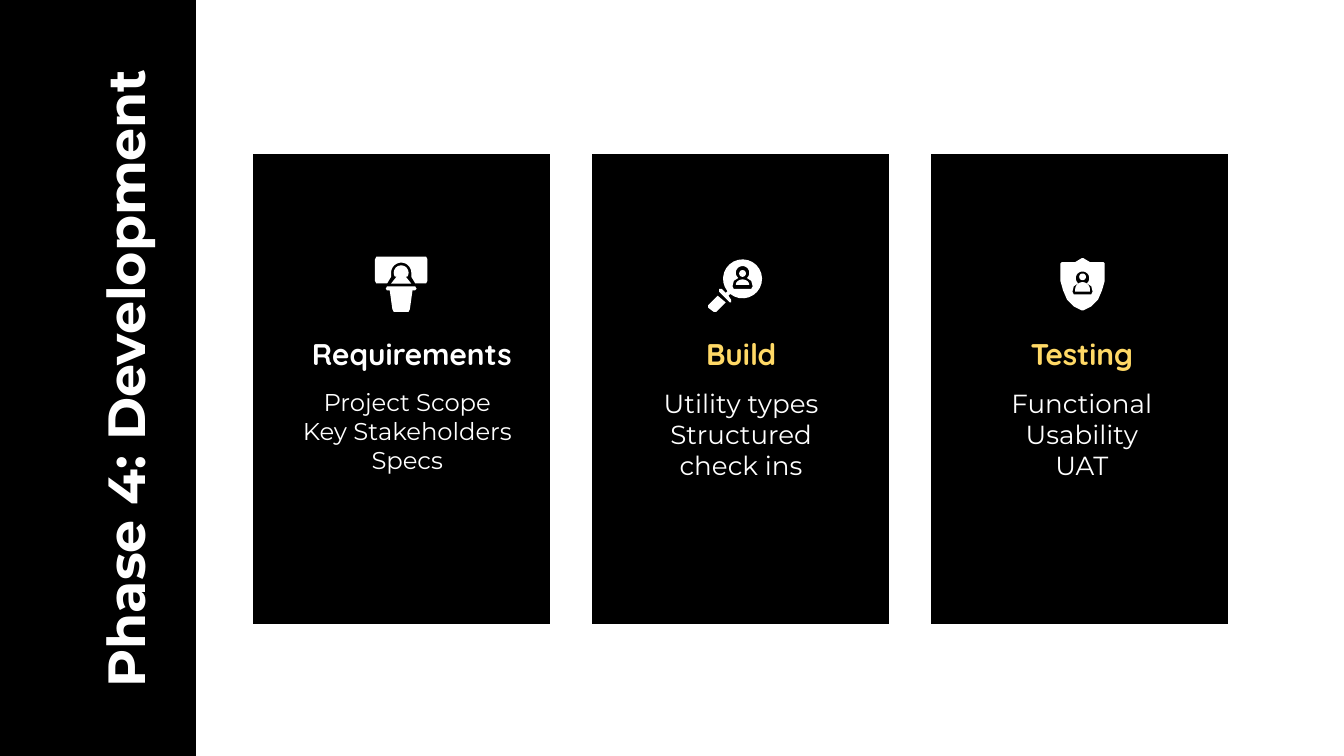
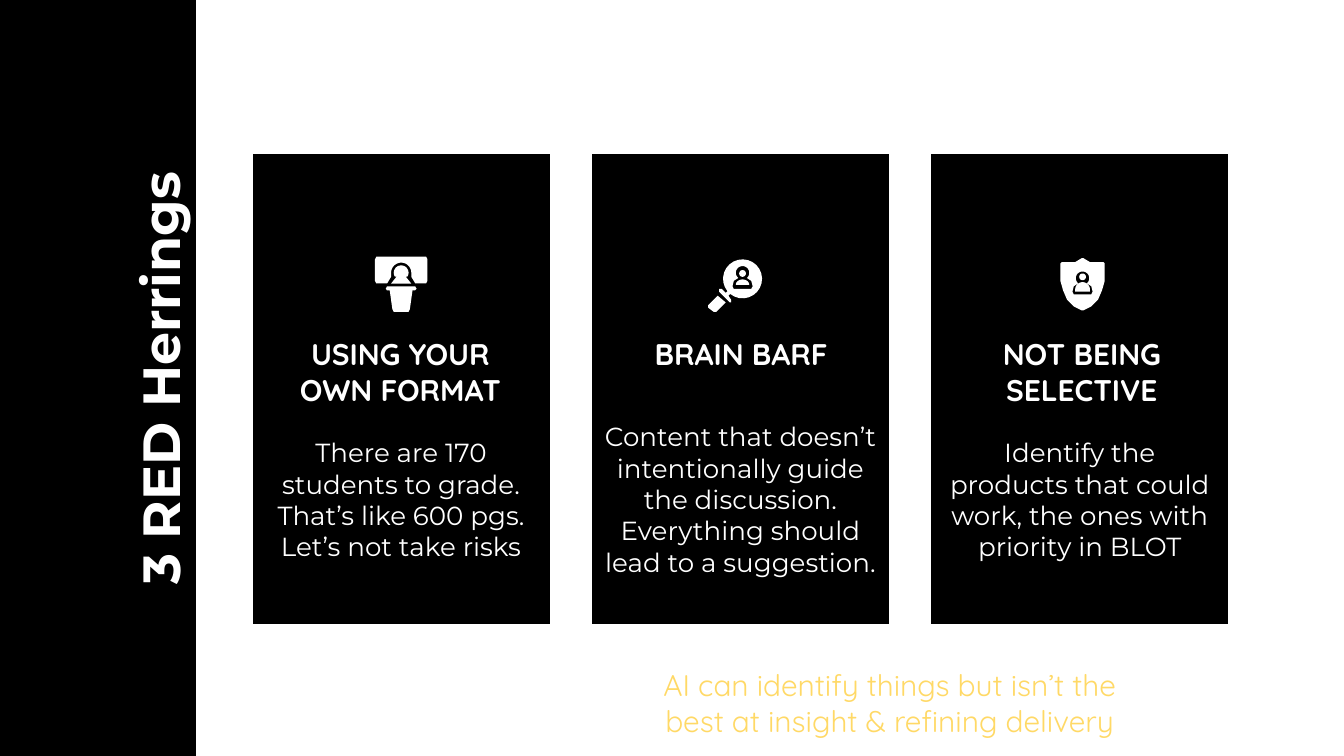
import math
from dataclasses import dataclass

from pptx import Presentation
from pptx.dml.color import RGBColor
from pptx.enum.shapes import MSO_SHAPE
from pptx.enum.text import MSO_ANCHOR, PP_ALIGN
from pptx.util import Inches, Pt

RECT = MSO_SHAPE.RECTANGLE
TOP = MSO_ANCHOR.TOP
CENTER = PP_ALIGN.CENTER


@dataclass(frozen=True)
class Theme:
    black: RGBColor = RGBColor(0, 0, 0)
    white: RGBColor = RGBColor(255, 255, 255)
    gold: RGBColor = RGBColor(0xFF, 0xD9, 0x66)
    sans: str = "Montserrat"
    display: str = "Quicksand"
    title: int = 28
    heading: int = 16
    body: int = 14
    small: int = 13


T = Theme()

# Grid in inches on a 16:9 slide: three cards and three narrower text columns
WIDTH = 10
HEIGHT = WIDTH * 9 / 16
BAND = (-0.08, -0.06, 1.55, 5.78)
CARD_W, CARD_H, CARD_TOP = 2.25, 3.54, 1.125
CARD_COLS = [1.86 + 2.525 * i for i in range(3)]
TEXT_COLS = [2.13 + 2.535 * i for i in range(3)]
HEAD_TOP, HEAD_W, HEAD_H = 2.4, 1.7, 0.34


def text(s, box, content, size=T.body, font=T.sans, color=T.white, bold=False, rotation=0):
    """Add a centred text box; each line of content is a paragraph."""
    tb = s.shapes.add_textbox(*map(Inches, box))
    tb.rotation = rotation
    tf = tb.text_frame
    tf.word_wrap = True
    tf.vertical_anchor = TOP
    tf.margin_left = tf.margin_right = tf.margin_top = tf.margin_bottom = Inches(0.1)
    for i, line in enumerate(content.split("\n")):
        p = tf.add_paragraph() if i else tf.paragraphs[0]
        p.alignment = CENTER
        r = p.add_run()
        r.text = line
        r.font.size, r.font.name, r.font.bold = Pt(size), font, bold
        r.font.color.rgb = color


def arc(cx, cy, rx, start=0, end=360, ry=None):
    """Points along an elliptical arc, clockwise in degrees from the right."""
    steps = 24
    angles = [math.radians(start + (end - start) * i / steps) for i in range(steps + 1)]
    return [(cx + rx * math.cos(a), cy + (ry or rx) * math.sin(a)) for a in angles]


# Icon pieces: each is a list of contours, later contours being holes
podium = [(2.88, 2.13), (2.87, 2.15), (2.88, 2.16), (2.9, 2.16), (2.92, 2.3), (2.93, 2.32),
          (3.04, 2.32), (3.05, 2.3), (3.07, 2.16), (3.09, 2.16), (3.1, 2.15), (3.09, 2.13)]
board = [(2.8, 1.91), (2.79, 1.93), (2.79, 2.09), (2.8, 2.11), (2.88, 2.11), (2.91, 2.06),
         *arc(2.985, 2.03, 0.075, 180, 360), (3.06, 2.06), (3.09, 2.11), (3.17, 2.11),
         (3.18, 2.09), (3.18, 1.93), (3.17, 1.91)]
speaker = [*arc(2.985, 2.03, 0.055, 150, 390), (3.02, 2.06), (3.06, 2.11), (2.91, 2.11), (2.95, 2.06)]

bust = [*arc(5.525, 2.03, 0.05, 130, 410), (5.59, 2.09), (5.6, 2.13), (5.59, 2.15),
        (5.46, 2.15), (5.45, 2.13), (5.46, 2.09)]
lens = [*arc(5.525, 2.075, 0.145, 141, 489), (5.42, 2.2), (5.44, 2.23), (5.44, 2.25),
        (5.43, 2.25), (5.35, 2.17), (5.35, 2.15), (5.37, 2.15), (5.4, 2.18)]
handle = [(5.34, 2.2), (5.27, 2.27), (5.27, 2.29), (5.31, 2.32), (5.33, 2.32), (5.4, 2.25)]

shield_half = [(8.05, 1.92), (8, 1.95), (7.95, 1.95), (7.9, 1.95), (7.89, 1.96), (7.89, 2.09),
               (7.91, 2.16), (7.94, 2.23), (7.99, 2.28), (8.05, 2.31)]
shield = shield_half + [(2 * 8.055 - x, y) for x, y in reversed(shield_half)]
shield_bust = [(x + 2.53, y + 0.04) for x, y in bust]

ICONS = [
    [podium], [board], [speaker],
    [arc(5.525, 2.035, 0.025)], [arc(5.525, 2.12, 0.05, 180, 360, ry=0.04)], [lens, bust], [handle],
    [[(8, 2.17), *arc(8.055, 2.155, 0.055, 180, 360), (8.11, 2.17)]],
    [arc(8.055, 2.06, 0.025)], [shield, shield_bust],
]

# Cards: heading, heading colour, heading width, then body, its top, width, height and size
SLIDES = [
    dict(
        title="Phase 4: Development", title_box=(-1.54, 2.5, 4.89, 0.63),
        cards=[
            ("Requirements", T.white, 1.87, "Project Scope\nKey Stakeholders\nSpecs", 2.78, 1.8, 1.17, T.small),
            ("Build", T.gold, HEAD_W, "Utility types\nStructured check ins", 2.78, HEAD_W, 1.17, T.body),
            ("Testing", T.gold, HEAD_W, "Functional\nUsability\nUAT", 2.78, HEAD_W, 1.17, T.body),
        ],
    ),
    dict(
        title="3 RED Herrings", title_box=(-1.02, 2.5, 4.38, 0.63),
        cards=[
            ("USING YOUR OWN FORMAT", T.white, HEAD_W,
             "There are 170 students to grade. That’s like 600 pgs. Let’s not take risks",
             3.15, CARD_W, 1.14, T.body),
            ("BRAIN BARF", T.white, HEAD_W,
             "Content that doesn’t intentionally guide the discussion. Everything should lead to a suggestion.",
             3.03, CARD_W, 1.38, T.body),
            ("NOT BEING SELECTIVE", T.white, HEAD_W,
             "Identify the products that could work, the ones with priority in BLOT",
             3.15, CARD_W, 1.14, T.body),
        ],
        closing="AI can identify things but isn’t the best at insight & refining delivery",
    ),
]

prs = Presentation()
prs.slide_width, prs.slide_height = Inches(WIDTH), Inches(HEIGHT)
blank = prs.slide_layouts[6]

for content in SLIDES:
    s = prs.slides.add_slide(blank)
    s.background.fill.solid()
    s.background.fill.fore_color.rgb = T.white

    panels = [(BAND, 1.5)] + [((x, CARD_TOP, CARD_W, CARD_H), 3) for x in CARD_COLS]
    for box, line_width in panels:
        sp = s.shapes.add_shape(RECT, *map(Inches, box))
        sp.shadow.inherit = False
        sp.fill.solid()
        sp.fill.fore_color.rgb = T.black
        sp.line.color.rgb = T.white
        sp.line.width = Pt(line_width)

    text(s, content["title_box"], content["title"], size=T.title, bold=True, rotation=270)

    for contours in ICONS:
        outlines = [[(Inches(x), Inches(y)) for x, y in c] for c in contours]
        builder = s.shapes.build_freeform(*outlines[0][0])
        builder.add_line_segments(outlines[0][1:], close=True)
        for hole in outlines[1:]:
            builder.move_to(*hole[0])
            builder.add_line_segments(hole[1:], close=True)
        sp = builder.convert_to_shape()
        sp.shadow.inherit = False
        sp.fill.solid()
        sp.fill.fore_color.rgb = T.white
        sp.line.fill.background()

    for card_x, text_x, card in zip(CARD_COLS, TEXT_COLS, content["cards"]):
        head, color, head_w, body, top, body_w, body_h, size = card
        text(s, (text_x, HEAD_TOP, head_w, HEAD_H), head,
             size=T.heading, font=T.display, color=color, bold=True)
        body_x = card_x if body_w == CARD_W else text_x
        text(s, (body_x, top, body_w, body_h), body, size=size)

    if "closing" in content:
        text(s, (TEXT_COLS[1], 4.86, 3.91, HEAD_H), content["closing"],
             size=T.heading, font=T.display, color=T.gold)

prs.save("out.pptx")
